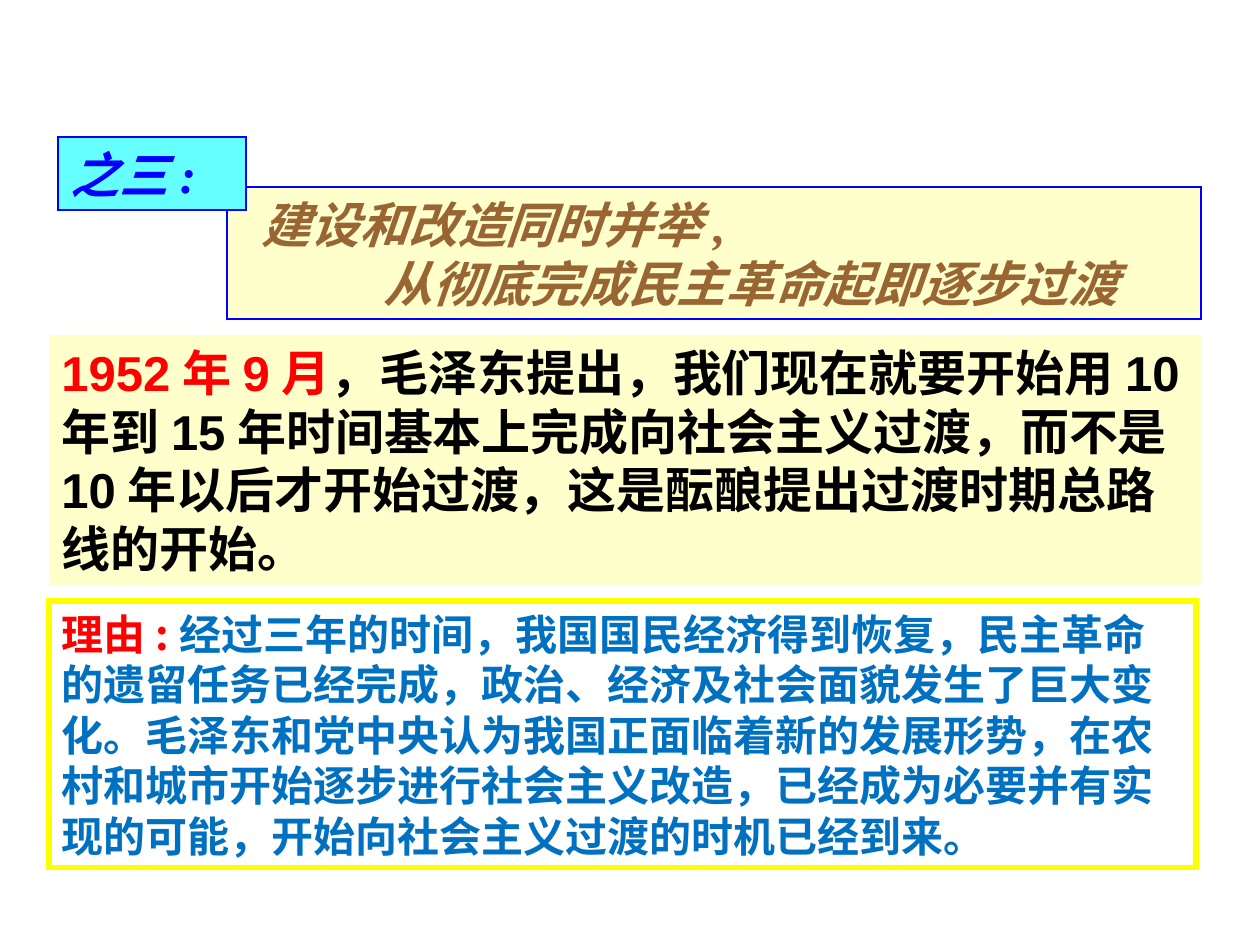
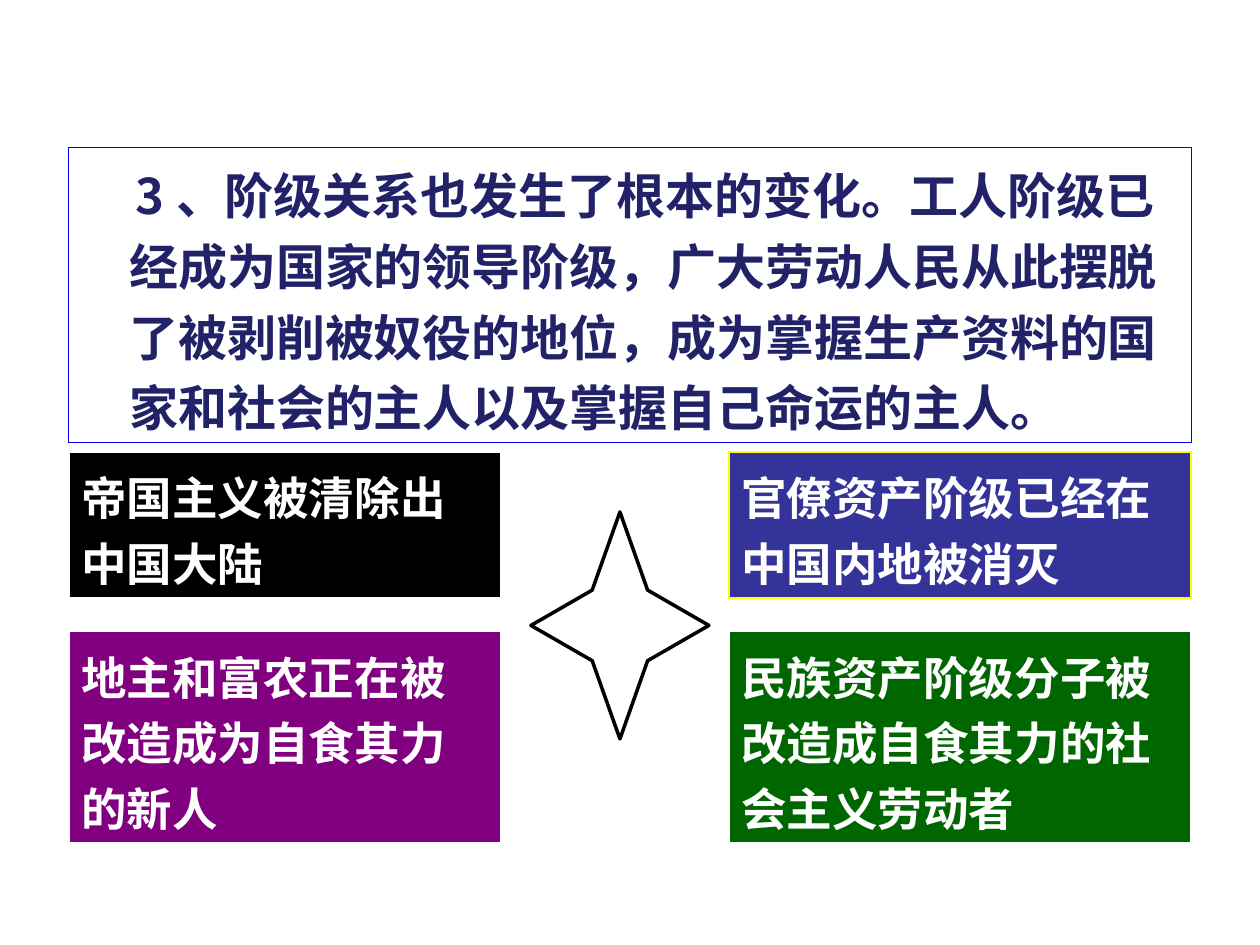
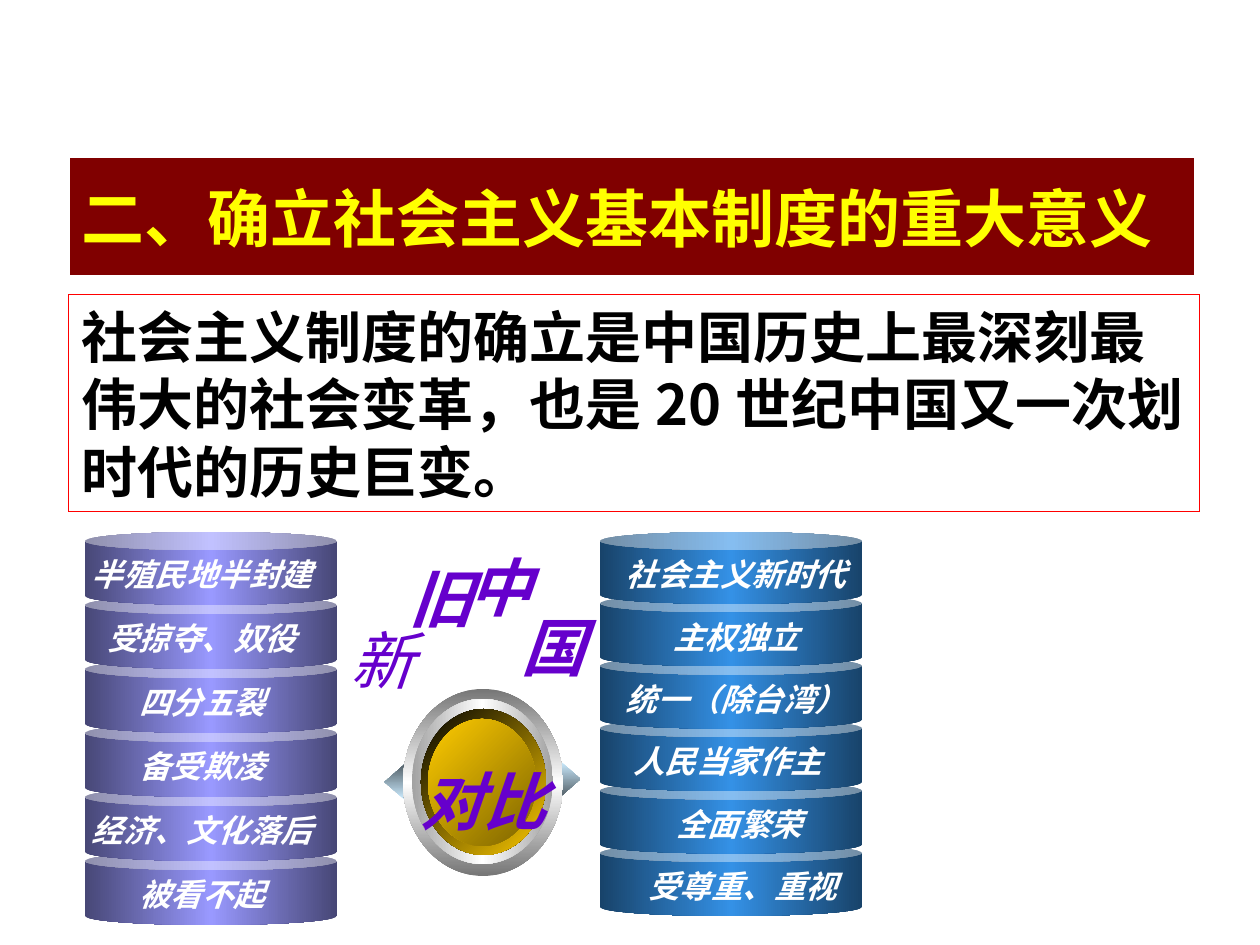
import pptx
import pptx.util
import pptx.dml.color
import pptx.enum.shapes
import pptx.enum.text
import pptx.oxml.ns
from dataclasses import dataclass
from lxml import etree

KIND = pptx.enum.shapes.MSO_SHAPE
ALIGN = pptx.enum.text.PP_ALIGN
ANCHOR = pptx.enum.text.MSO_ANCHOR
QN = pptx.oxml.ns.qn
SCALE = 914400 / 126


@dataclass(frozen=True)
class Theme:
    white: str = "FFFFFF"
    black: str = "000000"
    red: str = "FF0000"
    blue: str = "0000FF"
    yellow: str = "FFFF00"
    cream: str = "FFFFCC"
    cyan: str = "66FFFF"
    brown: str = "996633"
    sky: str = "0070C0"
    navy: str = "222268"
    indigo: str = "333399"
    purple: str = "800080"
    green: str = "006600"
    maroon: str = "800000"
    violet: str = "6600CC"
    sans: str = "Arial"
    serif: str = "Times New Roman"
    cjk: str = "Noto Sans CJK SC"
    title: int = 36
    lead: int = 32
    body: int = 28
    card: int = 26
    note: int = 24
    label: int = 18


T = Theme()

STEP = {
    "tag": "之三:",
    "head": [(22, "建设和改造同时并举,"), (144, "从彻底完成民主革命起即逐步过渡")],
    "fact": [("1952年9月", T.red),
             ("，毛泽东提出，我们现在就要开始用10年到15年时间基本上完成向社会主义过渡，"
              "而不是10年以后才开始过渡，这是酝酿提出过渡时期总路线的开始。", T.black)],
    "why": [("理由:", T.red),
            ("经过三年的时间，我国国民经济得到恢复，民主革命的遗留任务已经完成，"
             "政治、经济及社会面貌发生了巨大变化。毛泽东和党中央认为我国正面临着新的发展形势，"
             "在农村和城市开始逐步进行社会主义改造，已经成为必要并有实现的可能，"
             "开始向社会主义过渡的时机已经到来。", T.sky)],
}

CLASS = ("3、阶级关系也发生了根本的变化。工人阶级已经成为国家的领导阶级，"
         "广大劳动人民从此摆脱了被剥削被奴役的地位，成为掌握生产资料的国家和社会的主人"
         "以及掌握自己命运的主人。")
CARDS = [
    [("帝国主义被清除出中国大陆", T.black, T.white),
     ("官僚资产阶级已经在中国内地被消灭", T.indigo, T.yellow)],
    [("地主和富农正在被改造成为自食其力的新人", T.purple, T.white),
     ("民族资产阶级分子被改造成自食其力的社会主义劳动者", T.green, T.white)],
]
COLS = [(69, 432), (729, 462)]
ROWS = [(452, 146), (631, 212)]

TITLE = "二、确立社会主义基本制度的重大意义"
LEAD = "社会主义制度的确立是中国历史上最深刻最伟大的社会变革，也是20世纪中国又一次划时代的历史巨变。"
STACKS = [
    {"box": (85, 532, 252, 73), "last": 852, "mid": 202,
     "fade": ["474776", "9999FF", "474776"],
     "rows": [("半殖民地半封建", 0), ("受掠夺、奴役", 0), ("四分五裂", 0),
              ("备受欺凌", 0), ("经济、文化落后", 0), ("被看不起", 0)]},
    {"box": (600, 532, 262, 72), "last": 844, "mid": 736,
     "fade": ["18436A", "3491E6", "18436A"],
     "rows": [("社会主义新时代", 0), ("主权独立", 0), ("统一（除台湾）", 0),
              ("人民当家作主", -8), ("全面繁荣", 3), ("受尊重、重视", 7)]},
]
ARROWS = [((377, 772, 35, 20), 270), ((553, 769, 35, 20), 90)]
RINGS = [
    ((403, 689, 160, 187), ["767676", "FFFFFF", "767676"], 90),
    ((412, 699, 141, 165), ["A2A2A2", "FFFFFF", "A2A2A2"], 0),
    ((421, 709, 125, 146), ["000000", "FFCC00"], 45),
    ((428, 719, 108, 127), ["FFCC00", "7C6300"], 45),
]
WORDS = [("对比", 484, 756, True), ("新", 382, 615, False), ("旧", 441, 553, True),
         ("中", 500, 542, True), ("国", 553, 602, True)]


def px(num):
    return pptx.util.Emu(round(num * SCALE))


def rgb(code):
    return pptx.dml.color.RGBColor.from_string(code)


def shape(slide, box, fill=None, line=None, width=None, kind=KIND.RECTANGLE):
    item = slide.shapes.add_shape(kind, *map(px, box))
    item.shadow.inherit = False
    item.element.remove(item.element.find(QN("p:style")))
    if fill:
        item.fill.solid()
        item.fill.fore_color.rgb = rgb(fill)
    if line:
        item.line.color.rgb = rgb(line)
        if width:
            item.line.width = pptx.util.Pt(width)
        if kind == KIND.RECTANGLE:
            edge = item.element.spPr.find(QN("a:ln"))
            etree.SubElement(edge, QN("a:miter"), lim="800000")
    else:
        item.line.fill.background()
    return item


def fade(item, codes, angle=0):
    item.fill.gradient()
    grad = item.element.spPr.find(QN("a:gradFill"))
    stops = grad.find(QN("a:gsLst"))
    for old in list(stops):
        stops.remove(old)
    for i, code in enumerate(codes):
        stop = etree.SubElement(stops, QN("a:gs"), pos=str(100000 * i // (len(codes) - 1)))
        etree.SubElement(stop, QN("a:srgbClr"), val=code)
    grad.find(QN("a:lin")).set("ang", str(angle * 60000))


def style(run, size, face, color, bold=True, slant=False):
    font = run.font
    font.size, font.name = pptx.util.Pt(size), face
    font.bold, font.italic = bold, slant
    font.color.rgb = rgb(color)
    etree.SubElement(run._r.get_or_add_rPr(), QN("a:ea"), typeface=T.cjk)


def write(item, paras, size, face, wrap=True, anchor=ANCHOR.MIDDLE,
          align=ALIGN.LEFT, space=None, dents=(), **look):
    frame = item.text_frame
    frame.word_wrap = wrap
    frame.vertical_anchor = anchor
    for i, runs in enumerate(paras):
        para = frame.add_paragraph() if i else frame.paragraphs[0]
        para.alignment = align
        if space:
            para.line_spacing = space
        if dents:
            left, first = dents[i]
            props = para._p.get_or_add_pPr()
            props.set("marL", str(px(left)))
            props.set("indent", str(px(first)))
        for text, color in runs:
            run = para.add_run()
            run.text = text
            style(run, size, face, color, **look)


def label(slide, mid, top, text, size, face, color, bold=True):
    wide, high = (len(text) + 1) * size * 2 + 26, size * 2 + 16
    item = slide.shapes.add_textbox(*map(px, (mid - wide / 2, top, wide, high)))
    write(item, [[(text, color)]], size, face, wrap=False, anchor=ANCHOR.TOP,
          align=ALIGN.CENTER, bold=bold, slant=True)


def step(slide):
    head = shape(slide, (227, 187, 974, 132), T.cream, T.blue, 1)
    write(head, [[(text, T.brown)] for _, text in STEP["head"]], T.body, T.serif,
          dents=[(dent, 0) for dent, _ in STEP["head"]], slant=True)
    fact = shape(slide, (49, 335, 1152, 250), T.cream)
    write(fact, [STEP["fact"]], T.body, T.sans)
    why = shape(slide, (49, 601, 1147, 267), T.white, T.yellow, 3)
    write(why, [STEP["why"]], T.note, T.cjk)
    tag = shape(slide, (58, 137, 188, 73), T.cyan, T.blue, 1)
    write(tag, [[(STEP["tag"], T.blue)]], T.body, T.serif, slant=True)


def change(slide):
    top = shape(slide, (69, 148, 1123, 295), T.white, T.blue)
    write(top, [[(CLASS, T.navy)]], T.body, T.cjk, anchor=ANCHOR.TOP,
          space=1.2, dents=[(48, 6)])
    for (y, high), row in zip(ROWS, CARDS):
        for (x, wide), (text, fill, line) in zip(COLS, row):
            card = shape(slide, (x, y, wide, high), fill, line, 1)
            write(card, [[(text, T.white)]], T.card, T.serif, space=1.2)
    star = shape(slide, (531, 512, 178, 227), T.white, T.black, 2, KIND.STAR_4_POINT)
    star.adjustments[0] = 0.22


def stack(slide, data):
    x, top, wide, high = data["box"]
    rows = data["rows"]
    gap = (data["last"] - top) / (len(rows) - 1)
    tops = [top + gap * i for i in range(len(rows))]
    for y in reversed(tops):
        fade(shape(slide, (x, y, wide, high), kind=KIND.CAN), data["fade"])
    for y, (text, shift) in zip(tops, rows):
        label(slide, data["mid"] + shift, y + 17, text, T.label, T.sans, T.white)


def contrast(slide):
    band = shape(slide, (69, 158, 1126, 118), T.maroon, T.white)
    write(band, [[(TITLE, T.yellow)]], T.title, T.sans)
    lead = shape(slide, (69, 295, 1131, 217), T.white, T.red)
    write(lead, [[(LEAD, T.black)]], T.lead, T.cjk)
    for data in STACKS:
        stack(slide, data)
    for box, turn in ARROWS:
        arrow = shape(slide, box, kind=KIND.UP_ARROW)
        arrow.rotation = turn
        arrow.adjustments[0], arrow.adjustments[1] = 0.52, 1
        fade(arrow, ["CCECFF", "536068"])
    for box, codes, angle in RINGS:
        fade(shape(slide, box, kind=KIND.OVAL), codes, angle)
    for text, mid, top, bold in WORDS:
        label(slide, mid, top, text, T.title, T.cjk, T.violet, bold)


def main():
    """Build the three slides and save them."""
    deck = pptx.Presentation()
    deck.slide_width, deck.slide_height = px(1260), px(945)
    for draw in (step, change, contrast):
        draw(deck.slides.add_slide(deck.slide_layouts[6]))
    deck.save("out.pptx")


if __name__ == "__main__":
    main()
